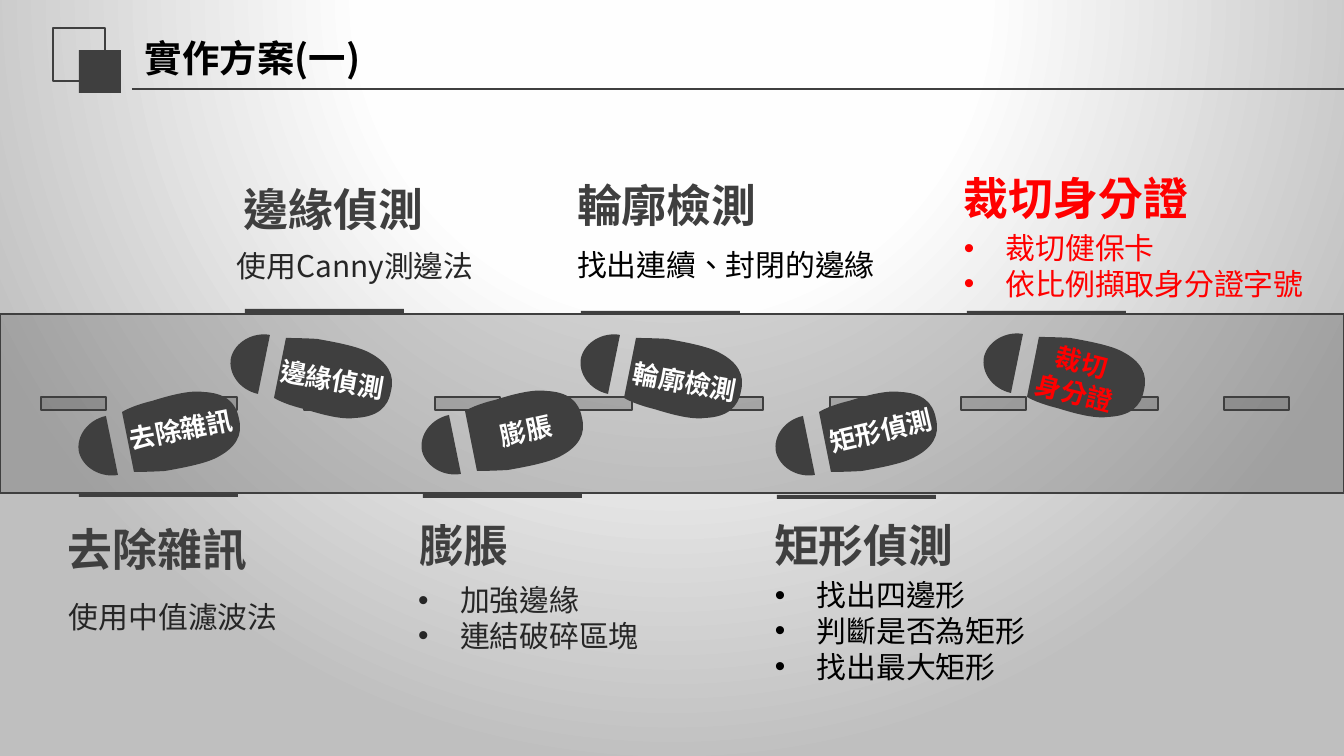
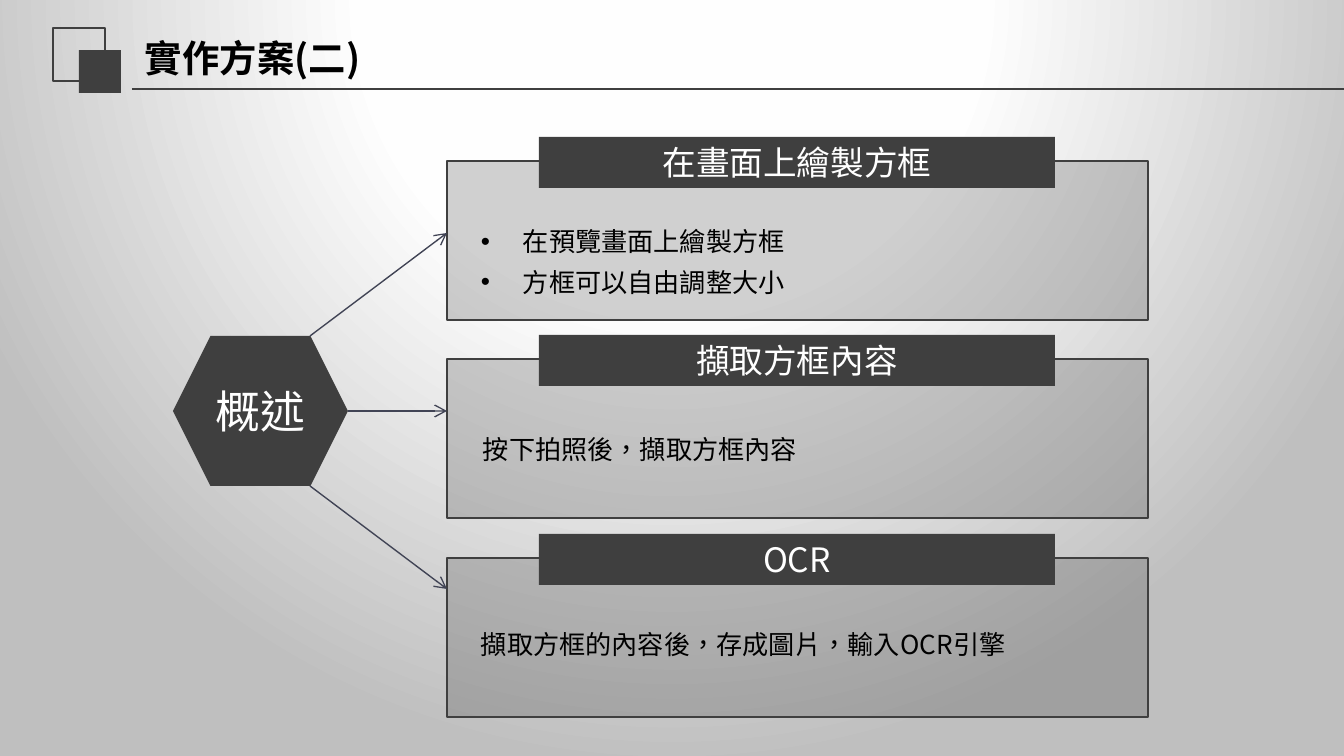
from dataclasses import dataclass

from lxml.etree import SubElement
from pptx import Presentation
from pptx.dml.color import RGBColor
from pptx.enum.shapes import MSO_CONNECTOR, MSO_SHAPE
from pptx.enum.text import MSO_ANCHOR, PP_ALIGN
from pptx.oxml import parse_xml
from pptx.oxml.ns import nsdecls, qn
from pptx.util import Emu, Pt

EMU_PER_PX = 914400 / 134.4


@dataclass(frozen=True)
class Theme:
    """Colours, font and type sizes shared by the slides."""
    font: str = "Noto Sans CJK SC"
    language: str = "zh-TW"
    dark: str = "3F3F3F"
    body: str = "262626"
    black: str = "000000"
    white: str = "FFFFFF"
    red: str = "FF0000"
    arrow: str = "414455"
    stops: tuple = ((0, "FFFFFF"), (40, "FEFEFE"), (100, "BFBFBF"))
    veil: int = 24
    heading: int = 24
    title: int = 20
    header: int = 18
    detail: int = 16
    small: int = 14


THEME = Theme()


@dataclass(frozen=True)
class Step:
    """One stage of the road: its shoe, bar, heading and details."""
    name: str
    label: tuple
    label_box: tuple
    angle: float
    shoe: tuple
    bar: tuple
    heading: tuple
    details: tuple
    details_box: tuple
    ink: str = THEME.black
    accent: str = THEME.dark
    label_ink: str = THEME.white
    mirrored: bool = False


STEPS = (
    Step("去除雜訊", ("去除雜訊",), (115, 409, 132, 42), 348.9, (79, 391), (79, 493),
         (68, 522), ("使用中值濾波法",), (69, 599, 266, 36), THEME.body, mirrored=True),
    Step("邊緣偵測", ("邊緣偵測",), (266, 359, 133, 42), 9.9, (231, 335), (245, 309),
         (244, 182), ("使用Canny測邊法",), (237, 248, 266, 36), THEME.body),
    Step("膨脹", ("膨脹",), (477, 410, 98, 42), 347.6, (422, 390), (423, 494),
         (419, 518), ("加強邊緣", "連結破碎區塊"), (418, 582, 232, 73),
         THEME.body, mirrored=True),
    Step("輪廓檢測", ("輪廓檢測",), (619, 361, 132, 42), 10.5, (581, 335), (581, 311),
         (577, 178), ("找出連續、封閉的邊緣",), (577, 247, 302, 36)),
    Step("矩形偵測", ("矩形偵測",), (812, 410, 138, 42), 346.9, (776, 391), (777, 495),
         (774, 518), ("找出四邊形", "判斷是否為矩形", "找出最大矩形"),
         (775, 577, 456, 109), mirrored=True),
    Step("裁切身分證", ("裁切", "身分證"), (1024, 341, 108, 74), 14.1, (984, 334),
         (967, 311), (964, 171), ("裁切健保卡", "依比例擷取身分證字號"),
         (964, 230, 347, 73), THEME.red, THEME.red, THEME.red),
)

PANELS = (
    ("在畫面上繪製方框", ("在預覽畫面上繪製方框", "方框可以自由調整大小"), (24, 74, 667, 93)),
    ("擷取方框內容", ("按下拍照後，擷取方框內容",), (26, 84, 667, 51)),
    ("OCR", ("擷取方框的內容後，存成圖片，輸入OCR引擎",), (24, 80, 667, 47)),
)

SHOE_HEIGHT = 84
HEEL = ((27, 59), (9, 55), (-3, 39), (0, 23), (4, 7), (22, -3), (39, 0))
SOLE = ((43, 63), (55, 70), (73, 74), (73, 74), (89, 79), (110, 85), (124, 83),
        (146, 82), (157, 73), (160, 56), (164, 40), (157, 27), (137, 17),
        (125, 11), (103, 7), (86, 4), (69, 3), (55, 3), (55, 3))


def px(length):
    """Turn pixels into EMU."""
    return Emu(round(length * EMU_PER_PX))


def rgb(colour):
    """Turn a hex string into a colour."""
    return RGBColor.from_string(colour)


def paint(shape, fill=None, line=None, width=1, alpha=None):
    """Set the fill, its opacity and the outline of a shape."""
    shape.shadow.inherit = False
    if fill:
        shape.fill.solid()
        shape.fill.fore_color.rgb = rgb(fill)
        if alpha:
            tint = shape.fill._xPr.find(qn("a:solidFill"))[0]
            SubElement(tint, qn("a:alpha"), val=str(alpha * 1000))
    else:
        shape.fill.background()
    if line:
        shape.line.color.rgb = rgb(line)
        shape.line.width = Pt(width)
    else:
        shape.line.fill.background()


def add_block(page, box, fill=None, line=None, width=1, alpha=None, kind=MSO_SHAPE.RECTANGLE):
    """Draw a preset shape in a pixel box."""
    shape = page.shapes.add_shape(kind, *map(px, box))
    paint(shape, fill, line, width, alpha)
    return shape


def add_line(page, start, end, colour, width, arrow=False):
    """Draw a straight line, with an arrowhead at its end if asked."""
    line = page.shapes.add_connector(MSO_CONNECTOR.STRAIGHT, *map(px, start + end))
    line.line.color.rgb = rgb(colour)
    line.line.width = Pt(width)
    if arrow:
        SubElement(line.line._get_or_add_ln(), qn("a:tailEnd"), type="arrow")
    SubElement(line._element.spPr, qn("a:effectLst"))


def write(shape, lines, size, colour, bold=False, align=PP_ALIGN.LEFT,
          anchor=MSO_ANCHOR.TOP, insets=(10, 5), bullets=False, spacing=None):
    """Fill a shape with one paragraph per line."""
    frame = shape.text_frame
    frame.word_wrap = True
    frame.vertical_anchor = anchor
    frame.margin_left = frame.margin_right = px(insets[0])
    frame.margin_top = frame.margin_bottom = px(insets[1])
    for index, line in enumerate(lines):
        para = frame.add_paragraph() if index else frame.paragraphs[0]
        para.alignment = align
        if bullets:
            props = para._p.get_or_add_pPr()
            props.set("marL", str(px(42)))
            props.set("indent", str(px(-42)))
            SubElement(props, qn("a:buFont"), typeface="Arial")
            SubElement(props, qn("a:buChar"), char="•")
        if spacing:
            para.line_spacing = spacing
        span = para.add_run()
        span.text = line
        span.font.name = THEME.font
        run_props = span._r.get_or_add_rPr()
        run_props.set("lang", THEME.language)
        SubElement(run_props, qn("a:ea"), typeface=THEME.font)
        span.font.size = Pt(size)
        span.font.bold = bold
        span.font.color.rgb = rgb(colour)


def add_text(page, box, lines, size, colour, **style):
    """Place a text box and write its lines."""
    shape = page.shapes.add_textbox(*map(px, box))
    write(shape, lines, size, colour, **style)
    return shape


def set_background(page):
    """Give the page its radial grey gradient."""
    stops = "".join(f'<a:gs pos="{place * 1000}"><a:srgbClr val="{colour}"/></a:gs>'
                    for place, colour in THEME.stops)
    page.element.find(qn("p:cSld")).insert(0, parse_xml(
        f'<p:bg {nsdecls("p", "a")}><p:bgPr><a:gradFill rotWithShape="1">'
        f'<a:gsLst>{stops}</a:gsLst><a:path path="circle">'
        '<a:fillToRect l="50000" t="-80000" r="50000" b="180000"/></a:path>'
        '</a:gradFill><a:effectLst/></p:bgPr></p:bg>'))


def add_page(deck, title):
    """Start a page with the shared background, squares, rule and title."""
    page = deck.slides.add_slide(deck.slide_layouts[6])
    set_background(page)
    add_block(page, (53, 28, 52, 53), line=THEME.dark, width=0.75)
    add_block(page, (79, 50, 42, 43), THEME.dark)
    add_line(page, (132, 89), (1344, 89), THEME.dark, 1.25)
    add_text(page, (131, 29, 478, 58), [title], THEME.title, THEME.black,
             bold=True, anchor=MSO_ANCHOR.MIDDLE, insets=(14, 7))
    return page


def bend(shape):
    """Turn each three straight segments of an outline into one cubic curve."""
    for outline in shape._element.iter(qn("a:path")):
        segments = outline.findall(qn("a:lnTo"))
        for first, second, third in zip(*(segments[i::3] for i in range(3))):
            curve = SubElement(outline, qn("a:cubicBezTo"))
            first.addprevious(curve)
            for segment in (first, second, third):
                curve.append(segment[0])
                outline.remove(segment)


def add_shoe(page, left, top, mirrored):
    """Draw a heel and a sole, upside down when mirrored."""
    for nodes in (HEEL, SOLE):
        points = [(px(left + x), px(top + (SHOE_HEIGHT - y if mirrored else y)))
                  for x, y in nodes]
        builder = page.shapes.build_freeform(*points[0], scale=1.0)
        builder.add_line_segments(points[1:], close=True)
        part = builder.convert_to_shape()
        bend(part)
        paint(part, THEME.dark)


def add_road(page, left, top, width, height):
    """Draw the road band with its ten centre dashes."""
    veil = dict(fill=THEME.dark, line=THEME.dark, alpha=THEME.veil)
    add_block(page, (left, top, width, height), **veil)
    for index in range(10):
        add_block(page, (left + 41 + index * 263 // 2, top + 83, 65, 13), **veil)


def add_step(page, step):
    """Place one step beside the road."""
    add_shoe(page, *step.shoe, step.mirrored)
    add_block(page, (*step.bar, 159, 4), THEME.dark)
    label = add_text(page, step.label_box, step.label, THEME.small, step.label_ink,
                     bold=True, align=PP_ALIGN.CENTER)
    label.rotation = step.angle
    add_text(page, (*step.heading, 266, 54), [step.name], THEME.heading, step.accent,
             bold=True, insets=(0, 0))
    add_text(page, step.details_box, step.details, THEME.detail, step.ink,
             insets=(0, 0), bullets=len(step.details) > 1)


def add_panel(page, left, top, width, header, lines, text_box):
    """Draw a framed panel with a header on its top edge."""
    add_block(page, (left, top + 24, width, 159), THEME.dark, THEME.dark, alpha=THEME.veil)
    bar = add_block(page, (left + 92, top, 516, 51), THEME.dark)
    write(bar, [header], THEME.header, THEME.white, align=PP_ALIGN.CENTER,
          anchor=MSO_ANCHOR.MIDDLE)
    x, y, *size = text_box
    add_text(page, (left + x, top + y, *size), lines, THEME.small, THEME.black,
             bullets=len(lines) > 1, spacing=1.3)


def add_hub(page, left, top, width, height, reach):
    """Draw the hexagon and its three arrows to the panels."""
    hub = add_block(page, (left, top, width, height), THEME.dark, kind=MSO_SHAPE.HEXAGON)
    write(hub, ["概述"], THEME.heading, THEME.white, align=PP_ALIGN.CENTER,
          anchor=MSO_ANCHOR.MIDDLE)
    right, middle, bottom = left + width, top + height // 2, top + height
    corner = right - height // 4 - 1
    for start, level in (((corner, top), top - 103), ((right, middle), middle),
                         ((corner, bottom), bottom + 103)):
        add_line(page, start, (reach, level), THEME.arrow, 0.75, arrow=True)


def build_road_page(deck):
    """Build the page of six processing steps."""
    page = add_page(deck, "實作方案(一)")
    add_road(page, 0, 314, 1344, 179)
    for step in STEPS:
        add_step(page, step)


def build_overview_page(deck):
    """Build the page of three panels around a hub."""
    page = add_page(deck, "實作方案(二)")
    for index, panel in enumerate(PANELS):
        add_panel(page, 447, 137 + index * 397 // 2, 701, *panel)
    add_hub(page, 173, 336, 175, 150, 447)


def main():
    """Build and save the deck."""
    deck = Presentation()
    deck.slide_width, deck.slide_height = px(1344), px(756)
    build_road_page(deck)
    build_overview_page(deck)
    deck.save("out.pptx")


if __name__ == "__main__":
    main()
